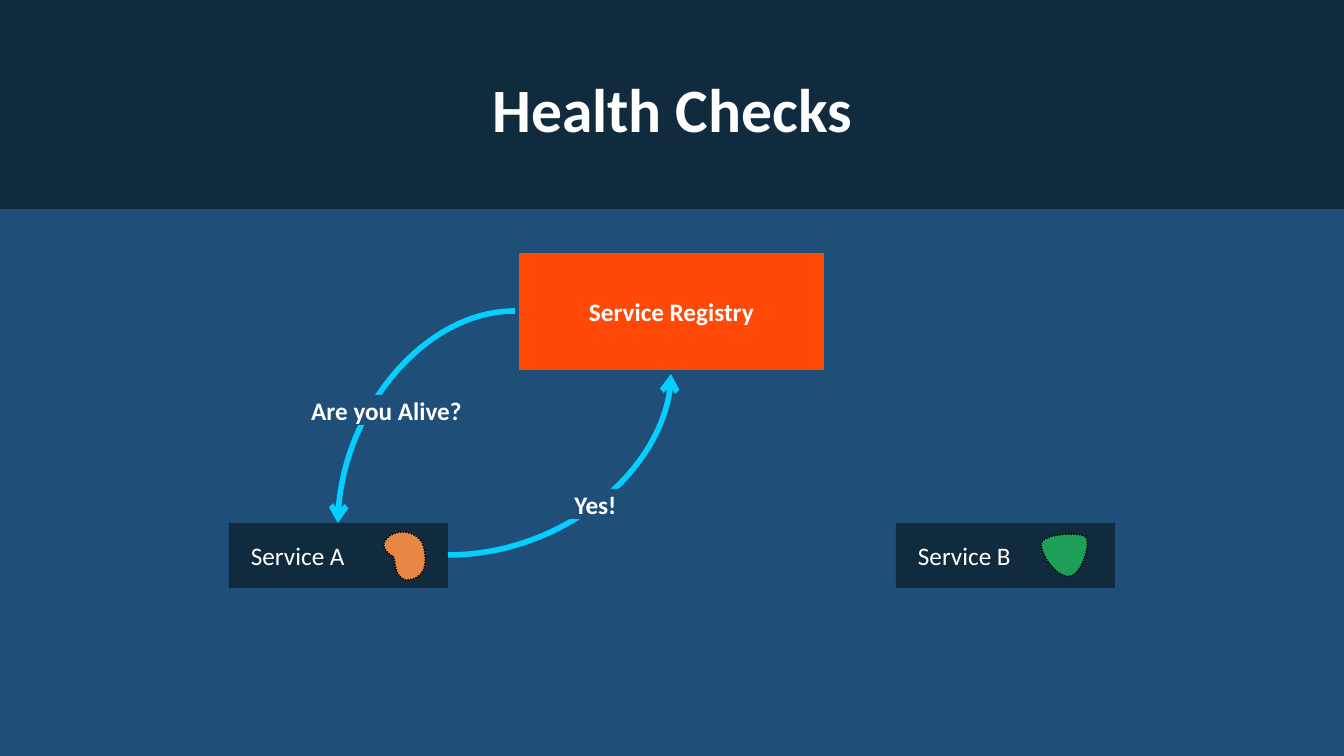
from lxml import etree
from pptx import Presentation
from pptx.dml.color import RGBColor
from pptx.enum.dml import MSO_LINE
from pptx.enum.shapes import MSO_CONNECTOR, MSO_SHAPE
from pptx.enum.text import MSO_ANCHOR, PP_ALIGN
from pptx.oxml.ns import qn
from pptx.util import Pt

PX = 914400 / 100.8
SLIDE_W, SLIDE_H = 1344, 756
FONT = "Calibri"
RECT, CURVE = MSO_SHAPE.RECTANGLE, MSO_CONNECTOR.CURVE
LEFT, CENTER, MIDDLE = PP_ALIGN.LEFT, PP_ALIGN.CENTER, MSO_ANCHOR.MIDDLE
DOTTED = MSO_LINE.ROUND_DOT
CURVE_STEPS = 16

BLUE = RGBColor(0x1F, 0x4E, 0x78)
NAVY = RGBColor(0x10, 0x2B, 0x3E)
RED_ORANGE = RGBColor(0xFF, 0x49, 0x09)
CYAN = RGBColor(0x05, 0xCF, 0xFF)
ORANGE = RGBColor(0xE8, 0x87, 0x44)
GREEN = RGBColor(0x1D, 0x9F, 0x58)
WHITE = RGBColor(0xFF, 0xFF, 0xFF)
BLACK = RGBColor(0, 0, 0)

SERVICE_TOP, SERVICE_W, SERVICE_H = 523, 219, 65
SERVICES = [
    ("Service A", 229, ORANGE, (392, 556), [
        ((368, 541), (405, 519), (422, 542)),
        ((426, 553), (431, 579), (406, 580)),
        ((392, 576), (397, 557), (392, 556))]),
    ("Service B", 896, GREEN, (1086, 537), [
        ((1091, 545), (1081, 575), (1070, 576)),
        ((1060, 579), (1042, 559), (1041, 544)),
        ((1043, 533), (1081, 532), (1086, 537))]),
]


def emu(*lengths):
    """Turn px lengths into a list of EMU."""
    return [round(length * PX) for length in lengths]


def write(shape, text, size=18, bold=True, align=CENTER, inset=10, spacing=None):
    """Put one formatted white paragraph into a shape."""
    frame = shape.text_frame
    frame.word_wrap = True
    frame.vertical_anchor = MIDDLE
    frame.margin_left, frame.margin_right = emu(inset, 10)
    frame.margin_top, frame.margin_bottom = emu(5, 5)
    paragraph = frame.paragraphs[0]
    paragraph.alignment = align
    paragraph.line_spacing = spacing
    run = paragraph.add_run()
    run.text = text
    run.font.name, run.font.size, run.font.bold = FONT, Pt(size), bold
    run.font.color.rgb = WHITE


def add_block(slide, box, fill):
    """Add a filled rectangle without outline."""
    block = slide.shapes.add_shape(RECT, *emu(*box))
    block.shadow.inherit = False
    block.fill.solid()
    block.fill.fore_color.rgb = fill
    block.line.fill.background()
    return block


def add_label(slide, box, text):
    """Add a label that interrupts the arrow behind it."""
    write(add_block(slide, box, BLUE), text)


def add_curved_arrow(slide, start, end):
    """Add a quarter-curve arrow that leaves sideways and arrives vertically."""
    arrow = slide.shapes.add_connector(CURVE, *emu(*start, *end))
    arrow.line.color.rgb = CYAN
    arrow.line.width = Pt(4)
    properties = arrow._element.spPr
    properties.find(qn("a:prstGeom")).set("prst", "curvedConnector2")
    etree.SubElement(properties.find(qn("a:ln")), qn("a:tailEnd"), type="arrow")
    etree.SubElement(properties, qn("a:effectLst"))


def bezier_points(start, segments):
    """Sample a chain of cubic curves."""
    points = []
    for first, second, end in segments:
        for step in range(1, CURVE_STEPS + 1):
            t = step / CURVE_STEPS
            weights = ((1 - t) ** 3, 3 * t * (1 - t) ** 2, 3 * t * t * (1 - t), t ** 3)
            points.append(tuple(
                sum(w * c for w, c in zip(weights, axis))
                for axis in zip(start, first, second, end)))
        start = end
    return points


def add_blob(slide, fill, start, segments):
    """Add a dotted-outline blob with curved sides."""
    builder = slide.shapes.build_freeform(*emu(*start))
    outline = bezier_points(start, segments)[:-1]
    builder.add_line_segments([emu(*point) for point in outline], close=True)
    blob = builder.convert_to_shape()
    blob.shadow.inherit = False
    blob.fill.solid()
    blob.fill.fore_color.rgb = fill
    blob.line.color.rgb = BLACK
    blob.line.width = Pt(1)
    blob.line.dash_style = DOTTED


def add_service(slide, name, left, color, start, segments):
    """Add a service box with its name and blob."""
    service = add_block(slide, (left, SERVICE_TOP, SERVICE_W, SERVICE_H), NAVY)
    write(service, name, bold=False, align=LEFT, inset=22)
    add_blob(slide, color, start, segments)


def main():
    """Build the health check slide."""
    deck = Presentation()
    deck.slide_width, deck.slide_height = emu(SLIDE_W, SLIDE_H)
    slide = deck.slides.add_slide(deck.slide_layouts[6])
    slide.background.fill.solid()
    slide.background.fill.fore_color.rgb = BLUE

    add_block(slide, (0, 0, SLIDE_W, 209), NAVY)
    title = slide.shapes.add_textbox(*emu(93, 40, 1159, 146))
    write(title, "Health Checks", size=44, spacing=0.9)

    registry = add_block(slide, (515, 249, 313, 125), RED_ORANGE)
    registry.line.color.rgb = BLUE
    registry.line.width = Pt(5.5)
    write(registry, "Service Registry")

    add_curved_arrow(slide, (515, 311), (338, SERVICE_TOP))
    add_label(slide, (258, 395, 257, 30), "Are you Alive?")
    for service in SERVICES:
        add_service(slide, *service)
    add_curved_arrow(slide, (448, 555), (671, 374))
    add_label(slide, (467, 489, 257, 30), "Yes!")

    deck.save("out.pptx")


if __name__ == "__main__":
    main()
